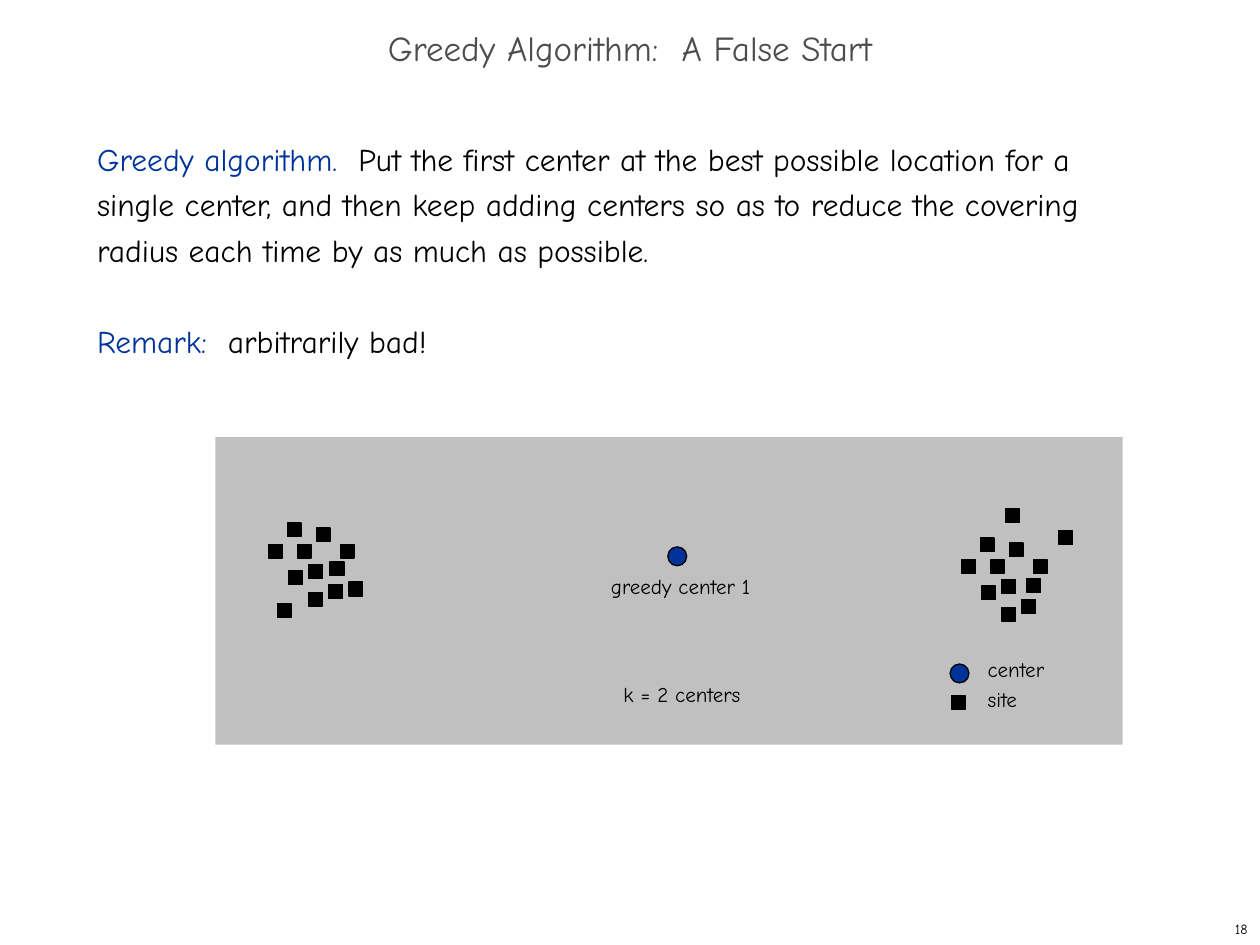
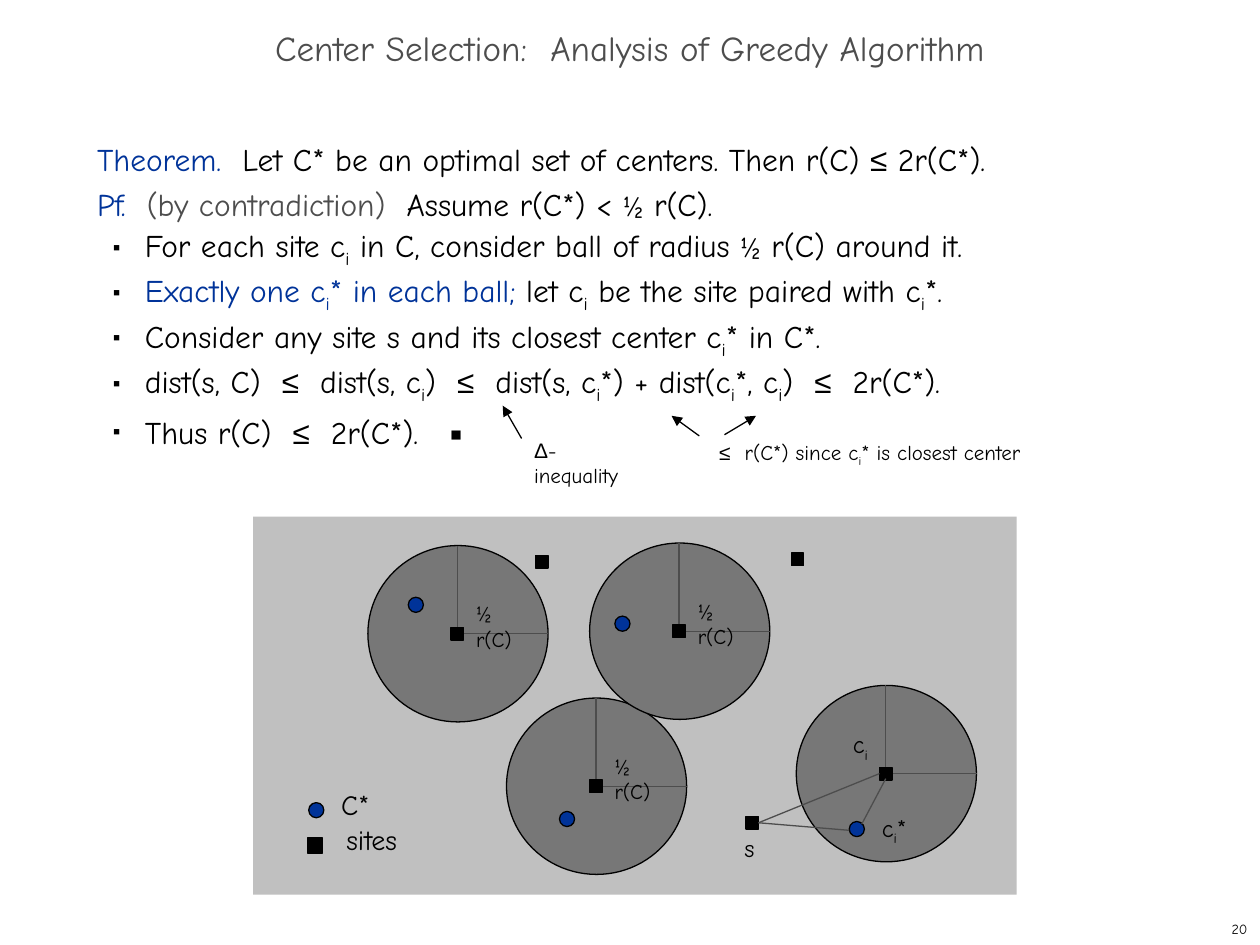
from itertools import groupby

from lxml.etree import SubElement
from pptx import Presentation
from pptx.dml.color import RGBColor
from pptx.enum.shapes import MSO_CONNECTOR, MSO_SHAPE
from pptx.enum.text import MSO_ANCHOR, MSO_AUTO_SIZE, PP_ALIGN
from pptx.oxml.ns import qn
from pptx.util import Inches, Pt

COLS, ROWS = 100, 75
WIDE, HIGH = Inches(10), Inches(7.5)
HUES = {"ink": "000000", "blue": "003399", "gray": "4D4D4D",
        "panel": "C0C0C0", "ball": "777777"}
FONT, PLAIN = "Comic Neue", "Arial"
KINDS = {"ᵢ": "sub", "≤": "plain", "Δ": "plain", "½": "small"}
PAD = {"margin_left": Inches(0.1), "margin_right": Inches(0.1),
       "margin_top": Inches(0.05), "margin_bottom": Inches(0.05),
       "auto_size": MSO_AUTO_SIZE.NONE}
BODY = {"line_spacing": Pt(26), "space_before": Pt(0), "space_after": Pt(0)}
HEAD = {"alignment": PP_ALIGN.CENTER, "line_spacing": 0.7,
        "space_before": Pt(0)}

CLUMP = [(22.8, 41.5), (23.6, 43.2), (24.5, 44.8), (25.1, 41.9), (24.5, 47),
         (21.3, 43.2), (22.9, 45.3), (26.1, 46.4), (27, 43.2)]
SHIFT = (55, 1.2)
STRAYS = [(26.2, 44.6), (27.7, 46.2), (22, 47.9),
          (79.8, 40.4), (81.5, 45.9), (84, 42.1)]
BALLS = [((36.3, 50.3), (33, 48), True), ((47.3, 62.4), (45, 65), True),
         ((53.9, 50.1), (49.4, 49.5), True), ((70.3, 61.4), (68, 65.8), False)]


def across(n):
    return round(WIDE * n / COLS)


def down(n):
    return round(HIGH * n / ROWS)


def area(x, y, w, h):
    return across(x), down(y), across(w), down(h)


def hue(name):
    return RGBColor.from_string(HUES[name])


def style(item, vals):
    for key, val in vals.items():
        setattr(item, key, val)


def write(para, parts, size):
    for text, name in parts:
        for kind, chars in groupby(text, key=KINDS.get):
            run = para.add_run()
            run.text = "".join(chars).replace("ᵢ", "i")
            style(run.font, {
                "name": PLAIN if kind == "plain" else FONT,
                "size": Pt(min(size, 16) if kind == "small" else size)})
            run.font.color.rgb = hue(name)
            if kind == "sub":
                run.font._element.set("baseline", "-25000")


def bullet(para, on):
    props = para._p.get_or_add_pPr()
    props.set("marL", str(Inches(0.38) if on else 0))
    props.set("indent", str(Inches(-0.25) if on else 0))
    if not on:
        SubElement(props, qn("a:buNone"))
        return
    tint = SubElement(props, qn("a:buClr"))
    SubElement(tint, qn("a:srgbClr")).set("val", HUES["ink"])
    SubElement(props, qn("a:buSzPct")).set("val", "35000")
    SubElement(props, qn("a:buFont")).set("typeface", PLAIN)
    SubElement(props, qn("a:buChar")).set("char", "■")


def place(shape, box):
    style(shape, dict(zip(("left", "top", "width", "height"), area(*box))))


def label(slide, text, box, size=12, wrap=True, align=PP_ALIGN.LEFT,
          anchor=MSO_ANCHOR.TOP):
    frame = slide.shapes.add_textbox(*area(*box)).text_frame
    style(frame, {**PAD, "word_wrap": wrap, "vertical_anchor": anchor})
    frame.paragraphs[0].alignment = align
    write(frame.paragraphs[0], [(text, "ink")], size)


def form(slide, kind, box, fill, edge=True):
    shape = slide.shapes.add_shape(kind, *area(*box))
    shape.shadow.inherit = False
    shape.fill.solid()
    shape.fill.fore_color.rgb = hue(fill)
    if edge:
        shape.line.color.rgb = hue("ink")
        shape.line.width = Pt(0.75)
    else:
        shape.line.fill.background()


def site(slide, x, y, side=1):
    form(slide, MSO_SHAPE.RECTANGLE, (x, y, side, side), "ink")


def dot(slide, x, y, side=1.2):
    form(slide, MSO_SHAPE.OVAL, (x, y, side, side), "blue")


def panel(slide, box):
    form(slide, MSO_SHAPE.RECTANGLE, box, "panel", False)


def line(slide, start, end, name="gray", arrow=False):
    link = slide.shapes.add_connector(
        MSO_CONNECTOR.STRAIGHT, across(start[0]), down(start[1]),
        across(end[0]), down(end[1]))
    link.line.color.rgb = hue(name)
    link.line.width = Pt(0.75)
    if arrow:
        SubElement(link.line._get_or_add_ln(),
                   qn("a:tailEnd")).set("type", "triangle")
    SubElement(link._element.spPr, qn("a:effectLst"))


def ball(slide, hub, best, named):
    x, y = hub
    form(slide, MSO_SHAPE.OVAL, (x - 7.1, y - 7, 14.3, 14), "ball")
    line(slide, (x + 0.5, y), (x + 7.2, y))
    line(slide, (x, y - 0.5), (x, y - 7))
    site(slide, x - 0.5, y - 0.5)
    dot(slide, best[0] - 0.6, best[1] - 0.6)
    if named:
        label(slide, "½ r(C)", (x + 0.5, y - 3.1, 6.4, 3.3))


def page(deck, title, number, width, lines):
    slide = deck.slides.add_slide(deck.slide_layouts[1])
    head, body = slide.placeholders
    place(head, (0, 1.7, 100, 5))
    style(head.text_frame, {**PAD, "vertical_anchor": MSO_ANCHOR.MIDDLE})
    style(head.text_frame.paragraphs[0], HEAD)
    write(head.text_frame.paragraphs[0], [(title, "gray")], 20)
    place(body, (6.7, 10, width, 59.2))
    frame = body.text_frame
    style(frame, {**PAD, "vertical_anchor": MSO_ANCHOR.TOP})
    for i, (level, gap, parts) in enumerate(lines):
        para = frame.add_paragraph() if i else frame.paragraphs[0]
        bullet(para, level)
        style(para, {**BODY, "level": level, "space_before": Pt(gap)})
        write(para, parts, 18)
    label(slide, number, (79.2, 72.5, 20.8, 2.5), 8, False,
          PP_ALIGN.RIGHT, MSO_ANCHOR.MIDDLE)
    return slide


def start(deck):
    slide = page(deck, "Greedy Algorithm:  A False Start", "18", 85.8, [
        (0, 0, [("Greedy algorithm.  ", "blue"),
                ("Put the first center at the best possible location for a "
                 "single center, and then keep adding centers so as to reduce "
                 "the covering radius each time by as much as possible.",
                 "ink")]),
        (0, 26, [("Remark:  ", "blue"), ("arbitrarily bad!", "ink")])])
    panel(slide, (17.1, 34.7, 72, 24.4))
    moved = [(x + SHIFT[0], y + SHIFT[1]) for x, y in CLUMP]
    for x, y in CLUMP + moved + STRAYS + [(75.5, 55.2)]:
        site(slide, x, y, 1.1)
    for x, y in [(53, 43.4), (75.4, 52.7)]:
        dot(slide, x, y, 1.5)
    for text, x, y, w in [("greedy center 1", 47.5, 45, 13.2),
                          ("k = 2 centers", 48.5, 53.6, 11.4),
                          ("center", 77.4, 51.6, 6.6),
                          ("site", 77.4, 54, 4.4)]:
        label(slide, text, (x, y, w, 3), wrap=False)


def proof(deck):
    points = [
        [("For each site cᵢ in C, consider ball of radius ½ r(C) around it.",
          "ink")],
        [("Exactly one cᵢ* in each ball; ", "blue"),
         ("let cᵢ be the site paired with cᵢ*.", "ink")],
        [("Consider any site s and its closest center cᵢ* in C*.", "ink")],
        [("dist(s, C)  ≤  dist(s, cᵢ)  ≤  dist(s, cᵢ*) + dist(cᵢ*, cᵢ)  ≤  "
          "2r(C*).", "ink")],
        [("Thus r(C)  ≤  2r(C*).   ▪", "ink")]]
    slide = page(
        deck, "Center Selection:  Analysis of Greedy Algorithm", "20", 83.6, [
            (0, 0, [("Theorem.  ", "blue"),
                    ("Let C* be an optimal set of centers. "
                     "Then r(C) ≤ 2r(C*).", "ink")]),
            (0, 0, [("Pf.  ", "blue"), ("(by contradiction)", "gray"),
                    ("  Assume r(C*) < ½ r(C).", "ink")])]
        + [(1, 0, parts) for parts in points])
    panel(slide, (20.1, 41, 60.6, 30))
    for hub, best, named in BALLS:
        ball(slide, hub, best, named)
    for x, y in [(59.2, 64.8), (62.8, 43.9), (42.5, 44.1)]:
        site(slide, x, y)
    site(slide, 24.4, 66.5, 1.2)
    dot(slide, 24.5, 63.7)
    for first, last in [((69.8, 61.4), (60.2, 65.3)),
                        ((70.3, 61.8), (68.4, 65.4)),
                        ((60.2, 65.3), (67.4, 65.9))]:
        line(slide, first, last)
    for first, last in [((55.5, 34.6), (53.3, 33)), ((57.5, 34.5), (60, 33)),
                        ((41.4, 34.8), (39.9, 32.2))]:
        line(slide, first, last, "ink", True)
    for text, box, size in [
            ("C*", (26.1, 62, 4.3, 3.7), 16),
            ("sites", (26.5, 64.8, 6.1, 3.7), 16),
            ("cᵢ", (66.7, 57.4, 3.2, 3.7), 14),
            ("cᵢ*", (69, 64, 4, 3.7), 14),
            ("s", (58.1, 65.6, 2.8, 3.3), 14),
            ("≤  r(C*) since cᵢ* is closest center",
             (56.1, 34.4, 26.4, 3.3), 12),
            ("Δ-inequality", (41.4, 34.2, 10.4, 3), 12)]:
        label(slide, text, box, size)


def main():
    deck = Presentation()
    style(deck, {"slide_width": WIDE, "slide_height": HIGH})
    start(deck)
    proof(deck)
    deck.save("out.pptx")


if __name__ == "__main__":
    main()
